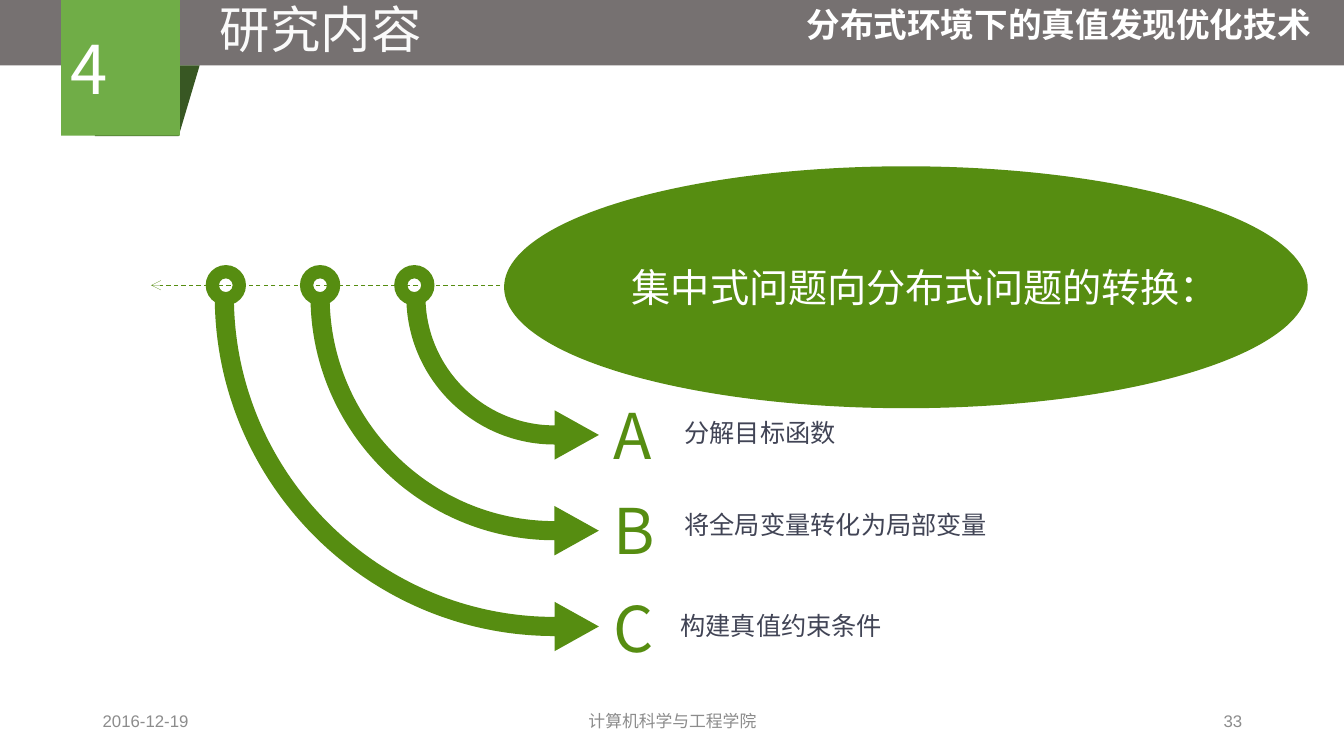
from lxml.etree import SubElement
from pptx import Presentation
from pptx.dml.color import RGBColor
from pptx.enum.dml import MSO_LINE
from pptx.enum.shapes import MSO_CONNECTOR, MSO_SHAPE
from pptx.enum.text import MSO_ANCHOR, MSO_AUTO_SIZE, PP_ALIGN
from pptx.oxml.ns import qn
from pptx.util import Inches, Pt

GREEN = RGBColor(0x56, 0x8D, 0x11)
TAB_GREEN = RGBColor(0x70, 0xAD, 0x47)
FOLD_GREEN = RGBColor(0x38, 0x57, 0x23)
BAND_GRAY = RGBColor(0x76, 0x71, 0x71)
LABEL_GRAY = RGBColor(0x41, 0x44, 0x55)
FOOTER_GRAY = RGBColor(0x8C, 0x8C, 0x8C)
OFF_WHITE = RGBColor(0xFA, 0xFA, 0xFA)
WHITE = RGBColor(0xFF, 0xFF, 0xFF)
CJK_FONT = "Noto Sans CJK SC"
QUARTER_ARC = 0.55

STEPS = [
    ("A", 1.26, "分解目标函数", 5.21, 1.38),
    ("B", 2.20, "将全局变量转化为局部变量", 5.21, 2.29),
    ("C", 3.17, "构建真值约束条件", 5.17, 3.30),
]


def write(shape, text, size, color, font=CJK_FONT, align=PP_ALIGN.LEFT,
          anchor=MSO_ANCHOR.TOP, bold=False, wrap=True, spacing=None,
          insets=(0.1, 0.05)):
    frame = shape.text_frame
    frame.text = text
    frame.word_wrap = wrap
    frame.auto_size = MSO_AUTO_SIZE.NONE
    frame.vertical_anchor = anchor
    frame.margin_left = frame.margin_right = Inches(insets[0])
    frame.margin_top = frame.margin_bottom = Inches(insets[1])
    paragraph = frame.paragraphs[0]
    paragraph.alignment = align
    if spacing:
        paragraph.line_spacing = spacing
    run = paragraph.runs[0]
    run.font.size = Pt(size)
    run.font.name = font
    run.font.bold = bold
    run.font.color.rgb = color
    SubElement(run.font._element, qn("a:ea"), typeface=font)


def add_text(slide, left, top, width, height, text, size, color, **style):
    box = slide.shapes.add_textbox(
        Inches(left), Inches(top), Inches(width), Inches(height))
    write(box, text, size, color, **style)


def paint(shape, color):
    shape.shadow.inherit = False
    shape.fill.solid()
    shape.fill.fore_color.rgb = color
    shape.line.fill.background()


def add_filled(slide, preset, left, top, width, height, color):
    shape = slide.shapes.add_shape(
        preset, Inches(left), Inches(top), Inches(width), Inches(height))
    paint(shape, color)
    return shape


def add_header(slide, left, top, width, height):
    add_filled(slide, MSO_SHAPE.RECTANGLE, left, top, width, height, BAND_GRAY)

    title = slide.shapes.title
    title.left, title.top = Inches(left + 0.79), Inches(top - 0.06)
    title.width, title.height = Inches(4.78), Inches(0.71)
    write(title, "研究内容", 36, OFF_WHITE, align=PP_ALIGN.CENTER)
    slide.shapes._spTree.append(title._element)

    add_filled(slide, MSO_SHAPE.FLOWCHART_DATA,
               left + 0.94, top + height, 1.04, 0.7, FOLD_GREEN)
    section = add_filled(slide, MSO_SHAPE.RECTANGLE,
                         left + 0.605, top, 1.18, 1.355, TAB_GREEN)
    write(section, "4", 48, WHITE, anchor=MSO_ANCHOR.MIDDLE)
    add_text(slide, left + width - 5.66, top, 5.66, 0.5,
             "分布式环境下的真值发现优化技术", 24, WHITE,
             align=PP_ALIGN.CENTER, bold=True)


def add_topic(slide, left, top, width, height):
    topic = add_filled(slide, MSO_SHAPE.OVAL, left, top, width, height, GREEN)
    write(topic, "集中式问题向分布式问题的转换：", 28, WHITE, font="Quicksand",
          align=PP_ALIGN.CENTER, anchor=MSO_ANCHOR.MIDDLE, insets=(0.08, 0.04))


def add_axis(slide, start_x, end_x, y):
    axis = slide.shapes.add_connector(
        MSO_CONNECTOR.STRAIGHT,
        Inches(start_x), Inches(y), Inches(end_x), Inches(y))
    axis.line.color.rgb = GREEN
    axis.line.dash_style = MSO_LINE.DASH
    outline = axis.line._get_or_add_ln()
    outline.set("w", "0")
    SubElement(outline, qn("a:tailEnd"), type="arrow")
    SubElement(axis._element.spPr, qn("a:effectLst"))


def bend(segments):
    curve = segments[0].makeelement(qn("a:cubicBezTo"))
    segments[0].addprevious(curve)
    for segment in segments:
        curve.append(segment[0])
        segment.getparent().remove(segment)


def add_curved_arrow(slide, center_x, center_y, radius):
    thickness, head_length, head_half = 0.19, 0.44, 0.245
    middle = center_y + radius - thickness / 2

    def quarter(r):
        return [(center_x, center_y + r),
                (center_x - QUARTER_ARC * r, center_y + r),
                (center_x - r, center_y + QUARTER_ARC * r),
                (center_x - r, center_y)]

    head = [(center_x, middle - head_half),
            (center_x + head_length, middle),
            (center_x, middle + head_half)]
    outline = quarter(radius) + quarter(radius - thickness)[::-1] + head
    points = [(Inches(x), Inches(y)) for x, y in outline]
    builder = slide.shapes.build_freeform(*points[0], scale=1.0)
    builder.add_line_segments(points[1:], close=True)
    arrow = builder.convert_to_shape()
    segments = list(arrow._element.iter(qn("a:lnTo")))
    bend(segments[0:3])
    bend(segments[4:7])
    paint(arrow, GREEN)


def add_steps(slide, left, top, width, height):
    ring_size, pitch = 0.4, 0.95
    center_x, center_y = left + 4.0, top + 0.31
    add_axis(slide, left + 3.46, left, top + 0.2)
    for i, (letter, letter_y, label, label_x, label_y) in enumerate(STEPS):
        ring = add_filled(slide, MSO_SHAPE.DONUT, left + 2.41 - 0.935 * i, top,
                          ring_size, ring_size, GREEN)
        ring.adjustments[0] = 0.33
        add_curved_arrow(slide, center_x, center_y, 1.47 + pitch * i)
        add_text(slide, left + 4.51, top + letter_y, 0.6, 0.84,
                 letter, 45, GREEN,
                 anchor=MSO_ANCHOR.MIDDLE, wrap=False, insets=(0.08, 0.04))
        add_text(slide, left + label_x, top + label_y, width - label_x, 0.46,
                 label, 18, LABEL_GRAY, spacing=1.3, insets=(0.08, 0.04))


def add_footer(slide, left, top, width, height):
    side, middle = 3, 4.5
    entries = [
        (left, side, "2016-12-19", PP_ALIGN.LEFT),
        (left + (width - middle) / 2, middle, "计算机科学与工程学院", PP_ALIGN.CENTER),
        (left + width - side, side, "33", PP_ALIGN.RIGHT),
    ]
    for entry_left, entry_width, text, align in entries:
        add_text(slide, entry_left, top, entry_width, height, text, 12,
                 FOOTER_GRAY, font="Arial", align=align,
                 anchor=MSO_ANCHOR.MIDDLE)


def main():
    deck = Presentation()
    deck.slide_width, deck.slide_height = Inches(13.33), Inches(7.5)
    slide = deck.slides.add_slide(deck.slide_layouts[5])
    add_topic(slide, 5, 1.65, 7.97, 2.4)
    add_steps(slide, 1.5, 2.63, 9.73, 3.83)
    add_header(slide, 0, -0.01, 13.33, 0.66)
    add_footer(slide, 0.92, 6.95, 11.5, 0.4)
    deck.save("out.pptx")


if __name__ == "__main__":
    main()
